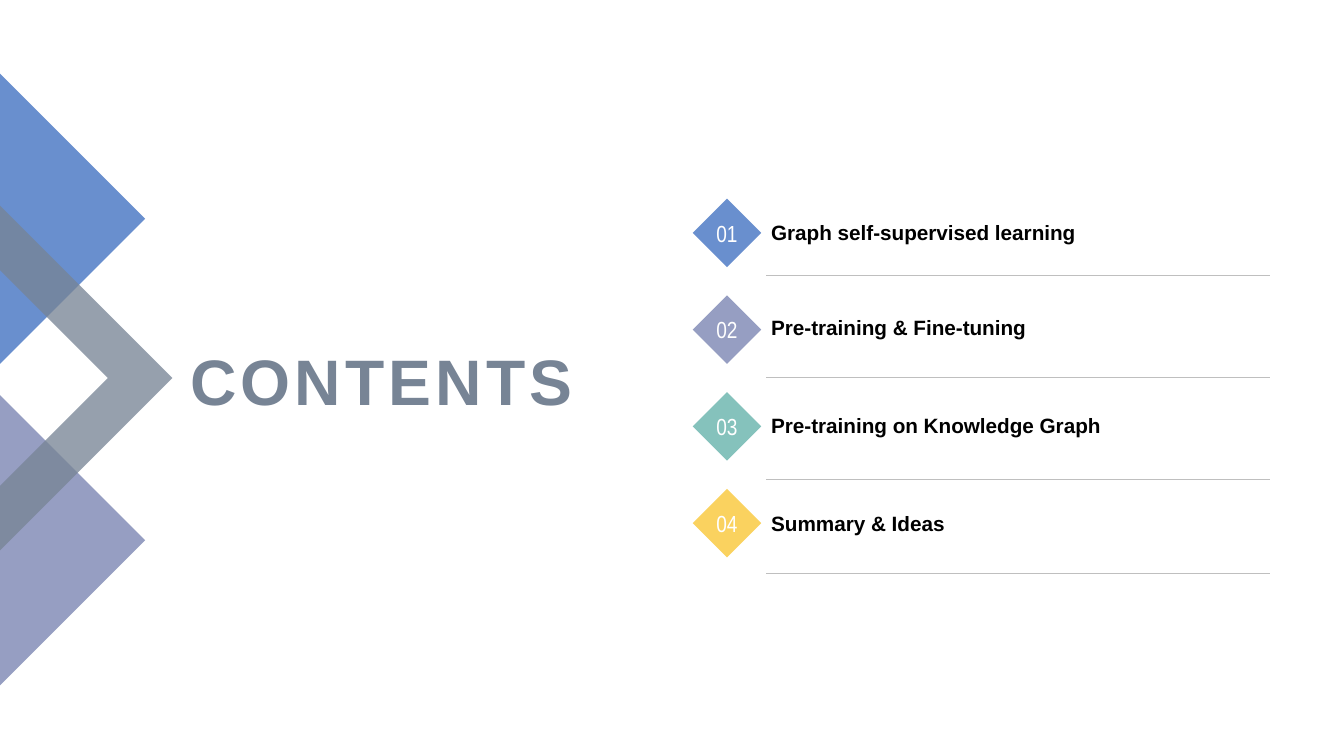
from lxml.etree import SubElement
from pptx import Presentation
from pptx.dml.color import RGBColor
from pptx.enum.shapes import MSO_CONNECTOR as CONNECTOR, MSO_SHAPE as SHAPE
from pptx.enum.text import MSO_ANCHOR as ANCHOR, MSO_AUTO_SIZE as AUTO_SIZE, PP_ALIGN as ALIGN
from pptx.oxml.ns import qn
from pptx.util import Inches, Pt

BLUE, LILAC, TEAL, YELLOW = "698FCE", "969EC2", "85C2BC", "FAD25F"
SLATE, WHITE, BLACK, GREY = "778495", "FFFFFF", "000000", "BFBFBF"

ENTRIES = [
    ("Graph self-supervised learning", BLUE, 2.15, 2.73),
    ("Pre-training & Fine-tuning", LILAC, 3.09, 3.74),
    ("Pre-training on Knowledge Graph", TEAL, 4.06, 4.75),
    ("Summary & Ideas", YELLOW, 5.03, 5.69),
]
FIRST_DIAMOND_TOP, DIAMOND_PITCH = 1.97, 0.96


def color(code):
    return RGBColor.from_string(code)


def paint(shape, code):
    shape.shadow.inherit = False
    shape.fill.solid()
    shape.fill.fore_color.rgb = color(code)
    shape.line.fill.background()


def write(shape, text, size, code, font, bold=False, align=ALIGN.LEFT,
          anchor=ANCHOR.MIDDLE, wrap=True):
    frame = shape.text_frame
    frame.text = text
    frame.auto_size = AUTO_SIZE.NONE
    frame.word_wrap = wrap
    frame.vertical_anchor = anchor
    para = frame.paragraphs[0]
    para.alignment = align
    span = para.runs[0]
    span.font.size = Pt(size)
    span.font.name = font
    span.font.bold = bold
    span.font.color.rgb = color(code)
    return span


def add_outline(page, points, code, opacity=100):
    start, *rest = [(round(x * 100), round(y * 100)) for x, y in points]
    builder = page.shapes.build_freeform(*start, scale=Inches(0.01))
    builder.add_line_segments(rest, close=True)
    shape = builder.convert_to_shape()
    paint(shape, code)
    if opacity < 100:
        fill_color = shape.fill._xPr.find(qn("a:solidFill"))[0]
        SubElement(fill_color, qn("a:alpha"), val=str(opacity * 1000))


def add_title(page):
    title = page.shapes.title
    title.left, title.top = Inches(1.69), Inches(3.26)
    title.width, title.height = Inches(4.09), Inches(1.01)
    span = write(title, "CONTENTS", 45.9, SLATE, "Arial", bold=True, align=ALIGN.RIGHT)
    span.font._element.set("spc", "300")


def add_number(page, number, top, code):
    diamond = page.shapes.add_shape(
        SHAPE.DIAMOND, Inches(6.87), Inches(top), Inches(0.68), Inches(0.68))
    paint(diamond, code)
    write(diamond, f"{number:02d}", 16.6, WHITE, "Arial Narrow",
          align=ALIGN.CENTER, wrap=False)


def add_label(page, text, top):
    box = page.shapes.add_textbox(Inches(7.55), Inches(top), Inches(4.33), Inches(0.33))
    write(box, text, 14.8, BLACK, "Arial", bold=True, anchor=ANCHOR.BOTTOM)


def add_rule(page, y):
    rule = page.shapes.add_connector(
        CONNECTOR.STRAIGHT, Inches(7.6), Inches(y), Inches(12.6), Inches(y))
    rule.line.color.rgb = color(GREY)
    rule.line.width = Pt(0.25)
    SubElement(rule._element.spPr, qn("a:effectLst"))


def main():
    deck = Presentation()
    deck.slide_width, deck.slide_height = Inches(13.33), Inches(7.5)
    page = deck.slides.add_slide(deck.slide_layouts[5])

    add_outline(page, [(0, 3.92), (1.44, 5.36), (0, 6.8)], LILAC)
    add_outline(page, [(0, 0.73), (1.44, 2.17), (0, 3.61)], BLUE)
    add_outline(page, [(1.71, 3.75), (0, 5.46), (0, 4.82), (1.07, 3.75),
                       (0, 2.68), (0, 2.04)], SLATE, opacity=77)
    add_title(page)

    for index, (text, code, label_top, rule_y) in enumerate(ENTRIES):
        add_number(page, index + 1, FIRST_DIAMOND_TOP + index * DIAMOND_PITCH, code)
        add_label(page, text, label_top)
        add_rule(page, rule_y)

    deck.save("out.pptx")


if __name__ == "__main__":
    main()
